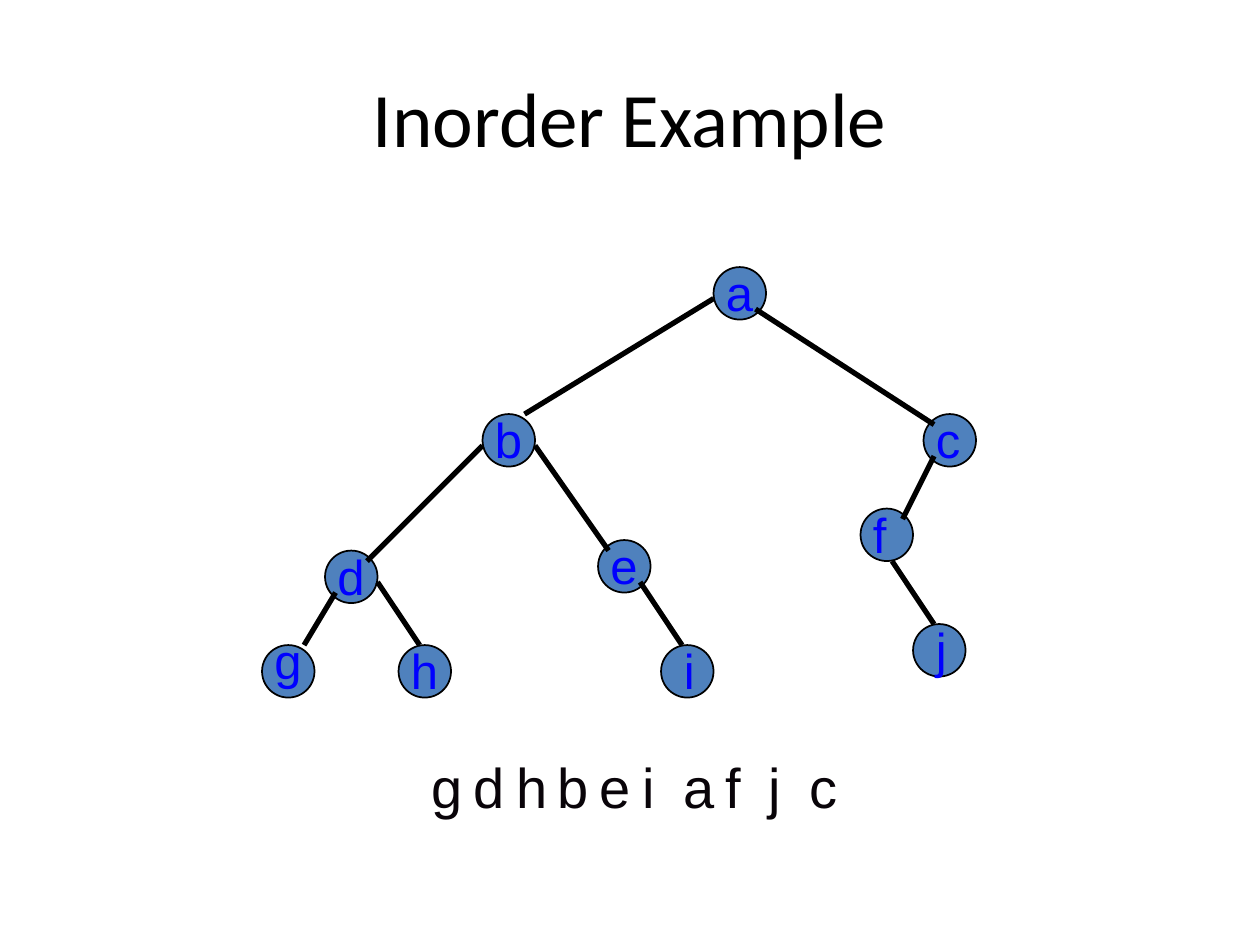
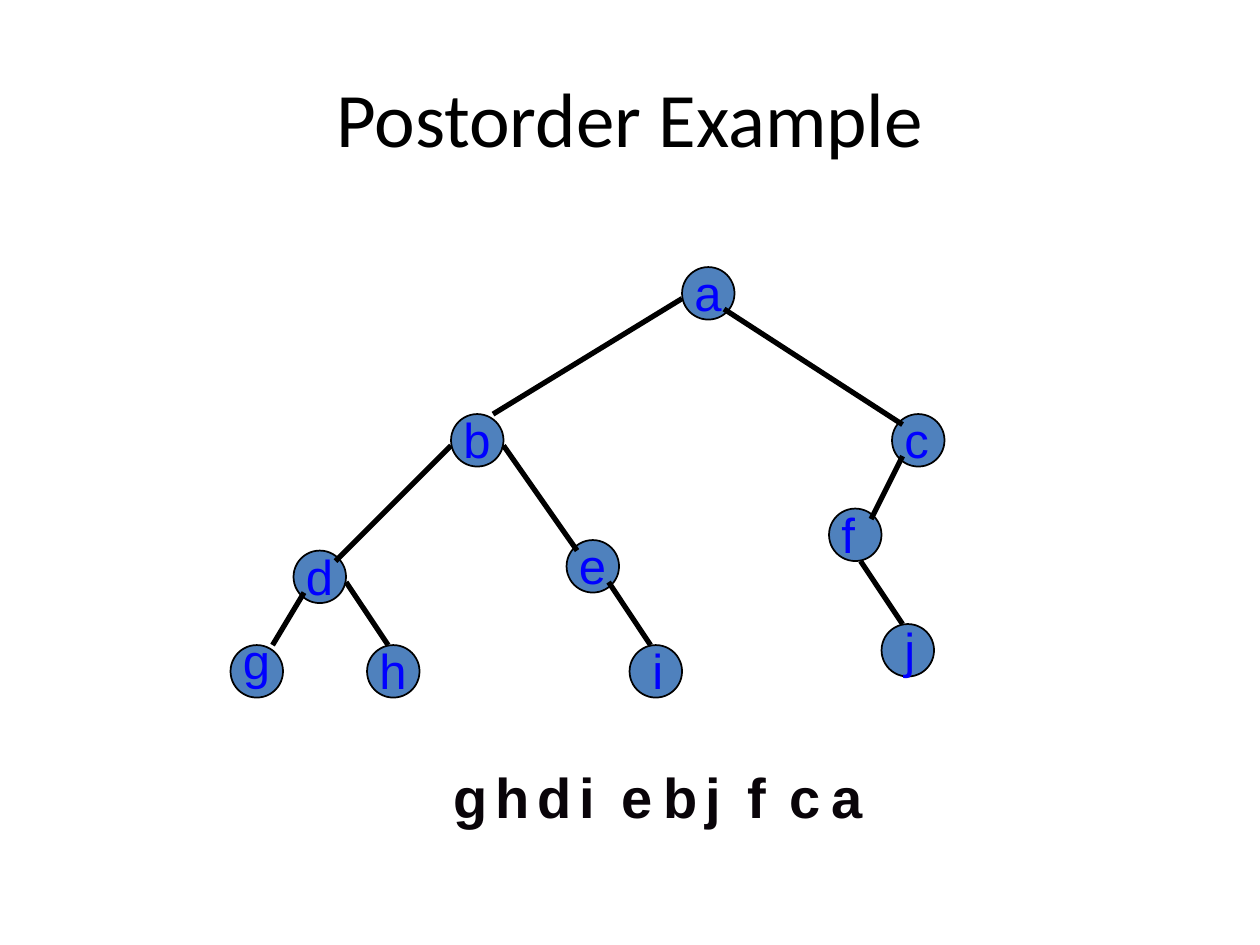
from pptx import Presentation
from pptx.dml.color import RGBColor
from pptx.enum.shapes import MSO_CONNECTOR, MSO_SHAPE
from pptx.enum.text import MSO_ANCHOR, MSO_AUTO_SIZE, PP_ALIGN
from pptx.oxml.ns import qn
from pptx.util import Inches, Pt
from lxml.etree import SubElement

BLACK = "000000"
NODE_FILL = "4F81BD"
LABEL_BLUE = "0000FF"
ANSWER_INK = "090409"

# The tree lies on a grid of twelfths of an inch
UNIT = 1 / 12
TREE_TOP = 2.12
NODE_SIZE = 5

# Top left corner of each node, in grid units
NODES = {
    "a": (43, 0),
    "b": (21, 14), "c": (63, 14),
    "d": (6, 27), "e": (32, 26), "f": (57, 23),
    "g": (0, 36), "h": (13, 36), "i": (38, 36), "j": (62, 34),
}

# Parent, point on the parent, child, point on the child
EDGES = [
    ("a", (0, 3), "b", (4, 0)),
    ("a", (4, 4), "c", (1, 1)),
    ("b", (0, 3), "d", (4, 1)),
    ("b", (5, 3), "e", (1, 1)),
    ("c", (1, 4), "f", (4, 1)),
    ("d", (1, 4), "g", (4, 0)),
    ("d", (5, 3), "h", (2, 0)),
    ("e", (4, 4), "i", (2, 0)),
    ("f", (3, 5), "j", (2, 0)),
]

# Label boxes sit one unit above their node, except for these letters
LABEL_OFFSET = (0, -1)
LABEL_EXCEPTIONS = {"g": (0, -2), "i": (1, -1), "j": (1, -1)}

ANSWER_STEP = 1 / 3


def color(hex_string):
    return RGBColor.from_string(hex_string)


def set_font(paragraph, name, size, ink, bold=False):
    font = paragraph.font
    font.name = name
    font.size = Pt(size)
    font.bold = bold
    font.color.rgb = color(ink)


def add_title(page, text):
    title = page.shapes.title
    title.left, title.top = Inches(0.5), Inches(0.3)
    title.width, title.height = Inches(9), Inches(1.25)
    title.text_frame.text = text
    title.text_frame.vertical_anchor = MSO_ANCHOR.MIDDLE
    para = title.text_frame.paragraphs[0]
    para.alignment = PP_ALIGN.CENTER
    set_font(para, "Calibri", 44, BLACK)


def add_letter(shapes, letter, left, top, width, height, size, ink, bold=False):
    box = shapes.add_textbox(Inches(left), Inches(top), Inches(width), Inches(height))
    frame = box.text_frame
    frame.word_wrap = True
    frame.auto_size = MSO_AUTO_SIZE.SHAPE_TO_FIT_TEXT
    frame.text = letter
    para = frame.paragraphs[0]
    para.space_before = Pt(size * 0.625)
    set_font(para, "Arial", size, ink, bold)


def add_node(shapes, left, top):
    size = Inches(NODE_SIZE * UNIT)
    node = shapes.add_shape(MSO_SHAPE.OVAL, Inches(left), Inches(top), size, size)
    node.shadow.inherit = False
    node.fill.solid()
    node.fill.fore_color.rgb = color(NODE_FILL)
    node.line.color.rgb = color(BLACK)
    node.line.width = Pt(1)


def add_edge(shapes, start, end):
    points = [Inches(value) for value in (*start, *end)]
    edge = shapes.add_connector(MSO_CONNECTOR.STRAIGHT, *points)
    edge.line.color.rgb = color(BLACK)
    edge.line.width = Pt(3)
    SubElement(edge._element.spPr, qn("a:effectLst"))


def add_tree(page, tree_left):
    shapes = page.shapes.add_group_shape().shapes

    def place(letter, offset=(0, 0)):
        column, row = NODES[letter]
        return (tree_left + (column + offset[0]) * UNIT,
                TREE_TOP + (row + offset[1]) * UNIT)

    for letter in NODES:
        add_node(shapes, *place(letter))
    for parent, parent_point, child, child_point in EDGES:
        add_edge(shapes, place(parent, parent_point), place(child, child_point))
    for letter in NODES:
        offset = LABEL_EXCEPTIONS.get(letter, LABEL_OFFSET)
        add_letter(shapes, letter, *place(letter, offset), 0.83, 0.57, 28, LABEL_BLUE)


def add_answer(page, letters, left, top, bold):
    for index, letter in enumerate(letters):
        add_letter(page.shapes, letter, left + index * ANSWER_STEP, top,
                   0.42, 0.64, 32, ANSWER_INK, bold)


def add_traversal_page(deck, title, tree_left, order, order_left, order_top, bold):
    page = deck.slides.add_slide(deck.slide_layouts[5])  # title only
    add_title(page, title)
    add_tree(page, tree_left)
    add_answer(page, order, order_left, order_top, bold)


def main():
    deck = Presentation()
    deck.slide_width, deck.slide_height = Inches(10), Inches(7.5)
    add_traversal_page(deck, "Inorder Example", 2.08, "gdhbeiafjc", 3.33, 5.92, False)
    add_traversal_page(deck, "Postorder Example", 1.83, "ghdiebjfca", 3.5, 6, True)
    deck.save("out.pptx")


if __name__ == "__main__":
    main()
